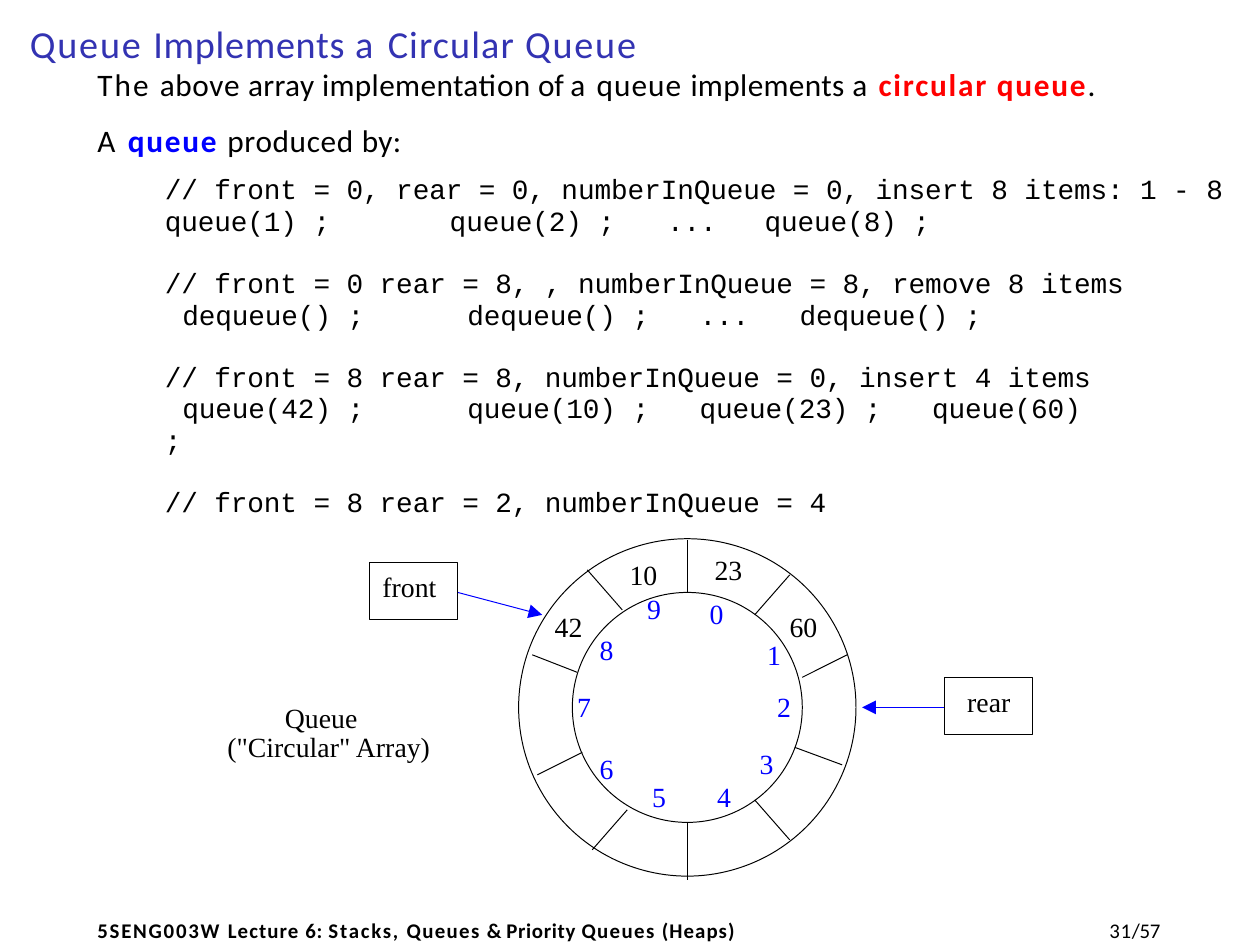
import pptx
import pptx.dml.color
import pptx.enum.shapes
import pptx.enum.text
import pptx.oxml
import pptx.util
from lxml import etree

WIDTH, HEIGHT = 363, 272.5  # points
BLACK, BLUE, RED, TITLE_BLUE = "000000", "0000FF", "FF0000", "3333B2"
SANS, MONO, SERIF = "Calibri", "Courier New", "Times New Roman"
THIN = 0.28

# Text pieces: (words, letter spacing, colour, bold)
TITLE = [("Queue ", 0.5, TITLE_BLUE, False), ("Implements ", 0.2, TITLE_BLUE, False),
         ("a ", 0.8, TITLE_BLUE, False), ("Circular ", 0.3, TITLE_BLUE, False),
         ("Queue", 0.5, TITLE_BLUE, False)]
INTRO = [
    [("The ", 0.6, BLACK, False), ("above ", 0.2, BLACK, False),
     ("array implementation ", 0.1, BLACK, False), ("of ", -0.1, BLACK, False),
     ("a ", 0.6, BLACK, False), ("queue ", 0.3, BLACK, False),
     ("implements ", 0.1, BLACK, False), ("a ", 0.6, BLACK, False),
     ("circular queue", 0.5, RED, True), (".", 0.5, BLACK, False)],
    [("A ", 0.8, BLACK, False), ("queue ", 0.5, BLUE, True),
     ("produced ", 0.2, BLACK, False), ("by:", 0.1, BLACK, False)],
]
FOOTER = [("5SENG003W ", 0.5, BLACK, True), ("Lecture ", 0.3, BLACK, True),
          ("6: ", 0.2, BLACK, True), ("Stacks, ", 0.5, BLACK, True),
          ("Queues ", 0.4, BLACK, True), ("& ", 0, BLACK, True),
          ("Priority ", 0.2, BLACK, True), ("Queues ", 0.4, BLACK, True),
          ("(Heaps)", 0.3, BLACK, True)]
PAGE_NUMBER = [("31", 0.2, BLACK, False), ("/57", -0.1, BLACK, False)]

# Code lines: (text, left indent, tab stops, space before)
CODE = [
    ("// front = 0, rear = 0, numberInQueue = 0, insert 8 items: 1 - 8", 0.28, [], 4.5),
    ("queue(1) ;\tqueue(2) ;\t...\tqueue(8) ;", 0.28, [1.14, 2.01, 2.4], 0),
    ("// front = 0 rear = 8, , numberInQueue = 8, remove 8 items", 0.28, [], 9),
    ("dequeue() ;\tdequeue() ;\t...\tdequeue() ;", 0.35, [1.14, 2.07, 2.47], 0),
    ("// front = 8 rear = 8, numberInQueue = 0, insert 4 items", 0.28, [], 9),
    ("queue(42) ;\tqueue(10) ;\tqueue(23) ;\tqueue(60)", 0.35, [1.14, 2.07, 3.0], 0),
    (";", 0.28, [], 0),
    ("// front = 8 rear = 2, numberInQueue = 4", 0.28, [], 9),
]

# Ring: centre, radii, and the dividers between cells
CENTRE = (2.75, 2.83)
RADII = [0.46, 0.675]
DIVIDERS = [
    (2.75, 2.16, 2.75, 2.37), (3.02, 2.46, 3.16, 2.3), (3.21, 2.71, 3.39, 2.62),
    (3.18, 2.99, 3.37, 3.06), (3.02, 3.2, 3.16, 3.36), (2.75, 3.29, 2.75, 3.52),
    (2.37, 3.4, 2.51, 3.24), (2.15, 3.1, 2.33, 3.01), (2.13, 2.62, 2.31, 2.69),
    (2.35, 2.28, 2.49, 2.44),
]
POINTERS = [(1.83, 2.37, 2.17, 2.46), (3.78, 2.83, 3.45, 2.83)]
POINTER_BOXES = [("front", 1.48, 2.25, 0.05), ("rear", 3.78, 2.71, 0.09)]
INDEXES = [(2.83, 2.38), (3.06, 2.54), (3.1, 2.75), (3.03, 2.98), (2.86, 3.11),
           (2.6, 3.11), (2.39, 3.0), (2.3, 2.75), (2.39, 2.52), (2.58, 2.36)]
ITEMS = [("42", 2.21, 2.43), ("10", 2.51, 2.22), ("23", 2.85, 2.2), ("60", 3.15, 2.43)]

inches, points = pptx.util.Inches, pptx.util.Pt


def colour(value):
    return pptx.dml.color.RGBColor.from_string(value)


def prepare_frame(shape, inset):
    frame = shape.text_frame
    frame.word_wrap = True
    frame.vertical_anchor = pptx.enum.text.MSO_ANCHOR.TOP
    frame.margin_left = frame.margin_right = frame.margin_bottom = 0
    frame.margin_top = inches(inset)
    return frame


def add_box(left, top, width, height, inset=0.01):
    box = slide.shapes.add_textbox(*map(inches, (left, top, width, height)))
    return prepare_frame(box, inset)


def write(frame, pieces, font, size, before, indent=0.01, line=None, tabs=()):
    """Fill the empty first paragraph, or add another one."""
    para = frame.paragraphs[0]
    if para.runs:
        para = frame.add_paragraph()
    para.alignment = pptx.enum.text.PP_ALIGN.LEFT
    para.space_before = points(before)
    if line:
        para.line_spacing = points(line)
    settings = para._p.get_or_add_pPr()
    settings.set("marL", str(inches(indent)))
    if tabs:
        settings.set("defTabSz", "0")
        stops = etree.SubElement(settings, pptx.oxml.ns.qn("a:tabLst"))
        for stop in tabs:
            etree.SubElement(stops, pptx.oxml.ns.qn("a:tab"), pos=str(inches(stop)), algn="l")
    for words, spacing, shade, bold in pieces:
        span = para.add_run()
        span.text = words
        span.font.name, span.font.size, span.font.bold = font, points(size), bold
        span.font.color.rgb = colour(shade)
        span._r.get_or_add_rPr().set("spc", str(round(spacing * 100)))


def add_outline(kind, left, top, width, height):
    shape = slide.shapes.add_shape(kind, *map(inches, (left, top, width, height)))
    shape.shadow.inherit = False
    shape.fill.background()
    shape.line.color.rgb = colour(BLACK)
    shape.line.width = points(THIN)
    return shape


def add_line(ends, shade, arrow=False):
    line = slide.shapes.add_connector(
        pptx.enum.shapes.MSO_CONNECTOR.STRAIGHT, *map(inches, ends))
    line.line.color.rgb = colour(shade)
    line.line.width = points(THIN)
    if arrow:
        etree.SubElement(line.line._get_or_add_ln(), pptx.oxml.ns.qn("a:tailEnd"),
                         type="triangle", w="sm", len="sm")
    etree.SubElement(line._element.spPr, pptx.oxml.ns.qn("a:effectLst"))


def add_label(words, left, top, shade):
    write(add_box(left, top, 0.16, 0.16), [(words, 0, shade, False)], SERIF, 8, 1.1)


deck = pptx.Presentation()
deck.slide_width, deck.slide_height = points(WIDTH), points(HEIGHT)
slide = deck.slides.add_slide(deck.slide_layouts[6])

# Title
write(add_box(0.1, 0.07, 2.6, 0.21), TITLE, SANS, 11, 0.9, 0.02)

# Introduction and code
body = add_box(0.38, 0.18, 4.64, 1.95)
for sentence in INTRO:
    write(body, sentence, SANS, 9, 0 if body.paragraphs[0].runs else 0.8, line=16)
for words, indent, tabs, before in CODE:
    write(body, [(words, -0.05, BLACK, False)], MONO, 8, before, indent, 9, tabs)

# Ring and its dividers
for radius in RADII:
    add_outline(pptx.enum.shapes.MSO_SHAPE.OVAL, CENTRE[0] - radius, CENTRE[1] - radius,
                2 * radius, 2 * radius)
for ends in DIVIDERS:
    add_line(ends, BLACK)

# Front and rear pointers
for ends in POINTERS:
    add_line(ends, BLUE, arrow=True)
for words, left, top, indent in POINTER_BOXES:
    box = add_outline(pptx.enum.shapes.MSO_SHAPE.RECTANGLE, left, top, 0.35, 0.23)
    write(prepare_frame(box, 0.03), [(words, 0, BLACK, False)], SERIF, 8, 1.9, indent)

# Cell numbers and stored items
for index, (left, top) in enumerate(INDEXES):
    add_label(str(index), left, top, BLUE)
for words, left, top in ITEMS:
    add_label(words, left, top, BLACK)

# Caption
caption = add_box(0.9, 2.79, 0.9, 0.28, 0.03)
write(caption, [("Queue", 0, BLACK, False)], SERIF, 8, 2.9, 0.24, 8.3)
write(caption, [("(\"Circular\" Array)", 0, BLACK, False)], SERIF, 8, 0, 0.01, 8.3)

# Footer
write(add_box(0.38, 3.66, 2.75, 0.13), FOOTER, SANS, 6, 0.7)
write(add_box(4.41, 3.66, 0.3, 0.13), PAGE_NUMBER, SANS, 6, 0.7, 0.03)

deck.save("out.pptx")
